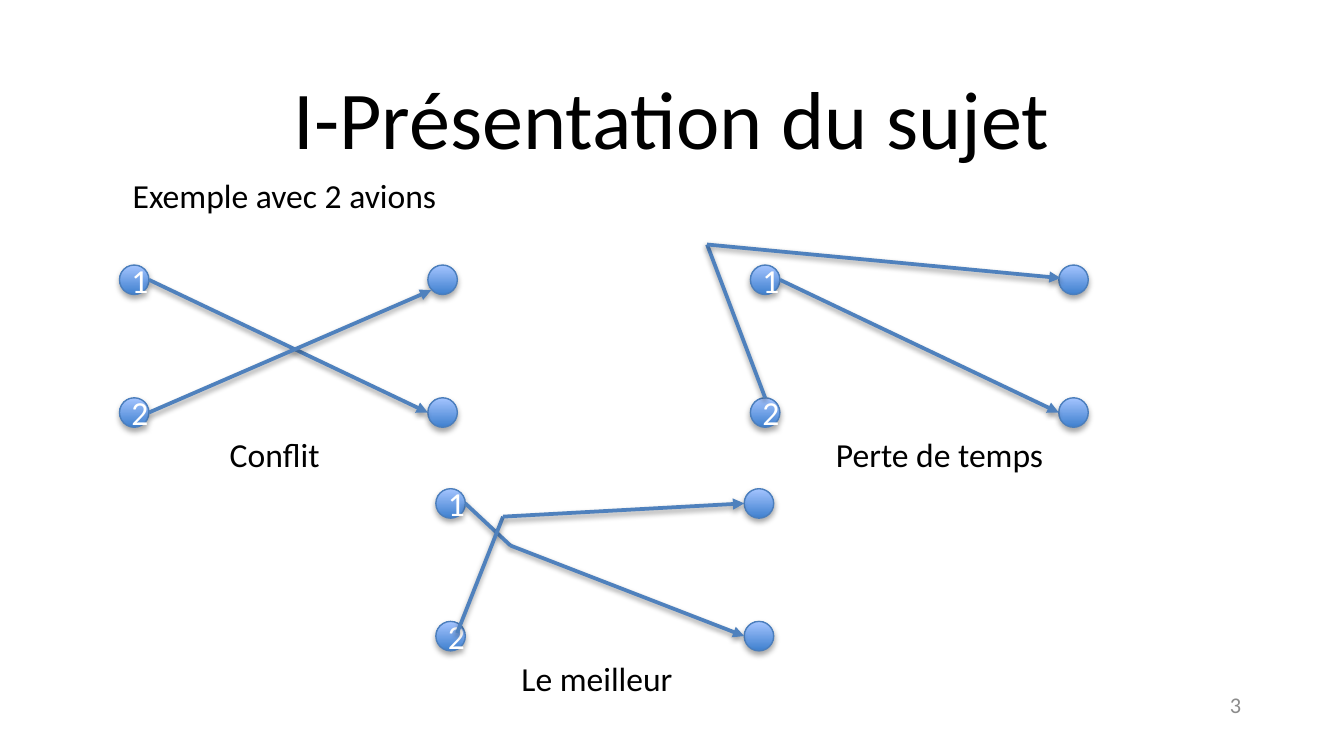
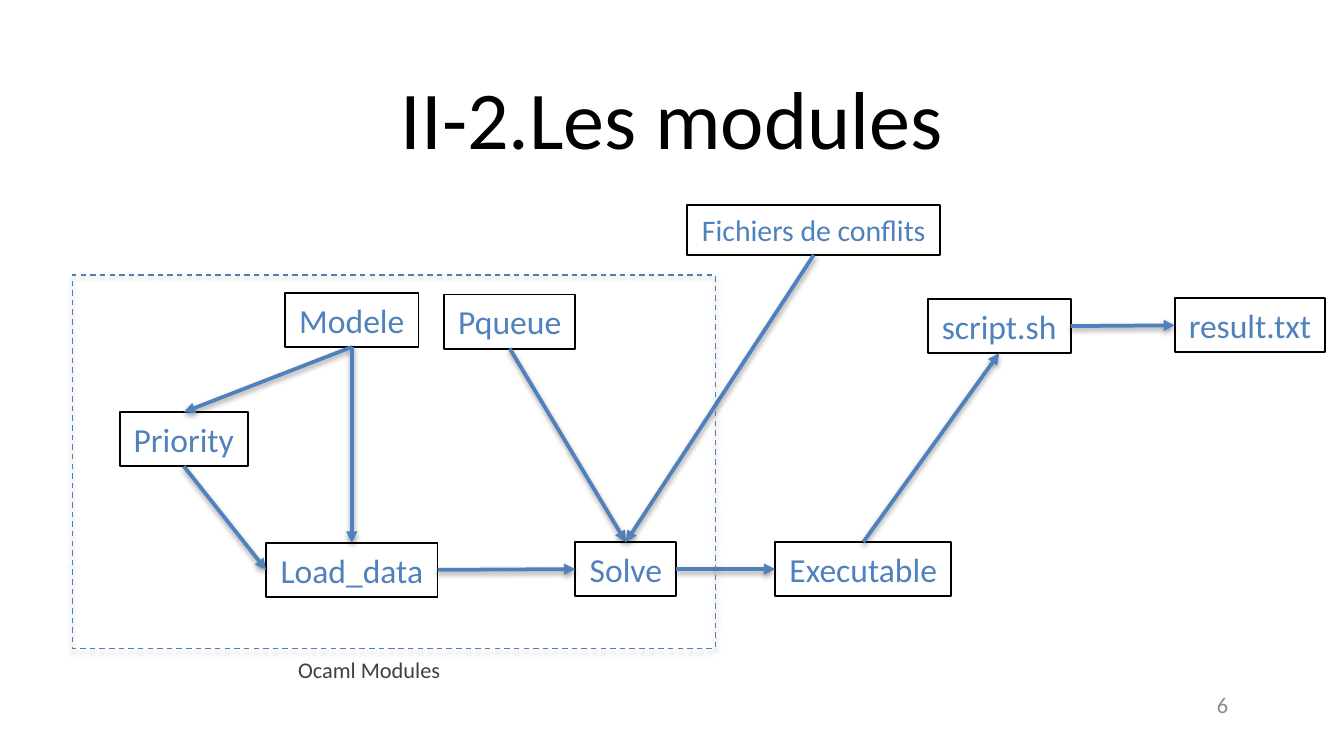
"""Build two slides on aircraft conflicts and program modules."""
from dataclasses import dataclass

from lxml import etree
from pptx import Presentation
from pptx.dml.color import RGBColor
from pptx.enum.dml import MSO_LINE
from pptx.enum.shapes import MSO_CONNECTOR, MSO_SHAPE
from pptx.enum.text import MSO_ANCHOR, MSO_AUTO_SIZE, PP_ALIGN
from pptx.oxml.ns import qn
from pptx.shapes.autoshape import Shape
from pptx.shapes.connector import Connector
from pptx.slide import Slide
from pptx.util import Pt

STRAIGHT = MSO_CONNECTOR.STRAIGHT
OVAL, RECTANGLE = MSO_SHAPE.OVAL, MSO_SHAPE.RECTANGLE
LEFT, CENTER, RIGHT = PP_ALIGN.LEFT, PP_ALIGN.CENTER, PP_ALIGN.RIGHT
TOP, MIDDLE = MSO_ANCHOR.TOP, MSO_ANCHOR.MIDDLE
FIT_SHAPE = MSO_AUTO_SIZE.SHAPE_TO_FIT_TEXT
DASH = MSO_LINE.DASH
SIDE_TOP, SIDE_LEFT, SIDE_BOTTOM, SIDE_RIGHT = range(4)

Point = tuple[float, float]
Area = tuple[float, float, float, float]


@dataclass(frozen=True)
class Theme:
    """Colours, font, type sizes and line widths."""

    font: str = "Calibri"
    black: str = "000000"
    white: str = "FFFFFF"
    accent: str = "4F81BD"
    edge: str = "4B7EBC"
    plane_dark: str = "3F80CE"
    plane_light: str = "A4C4FF"
    note: str = "404040"
    muted: str = "8C8C8C"
    title_size: float = 44
    body_size: float = 18
    file_size: float = 16
    small_size: float = 12
    arrow_width: float = 2
    box_width: float = 1
    edge_width: float = 0.75


THEME = Theme()


@dataclass(frozen=True)
class TextStyle:
    """Look and placement of one text."""

    size: float = THEME.body_size
    color: str = THEME.black
    align: PP_ALIGN = LEFT
    anchor: MSO_ANCHOR = TOP
    wrap: bool = True


TITLE = TextStyle(THEME.title_size, align=CENTER, anchor=MIDDLE)
NUMBER = TextStyle(THEME.small_size, THEME.muted, RIGHT, MIDDLE)
CAPTION = TextStyle(wrap=False)
NOTE = TextStyle(THEME.small_size, THEME.note)
PLANE = TextStyle(color=THEME.white, align=CENTER, anchor=MIDDLE)
MODULE = TextStyle(color=THEME.accent, align=CENTER, wrap=False)
FILES = TextStyle(THEME.file_size, THEME.accent, CENTER, wrap=False)


@dataclass(frozen=True)
class Scenario:
    """Two aircraft with routes measured from the scenario's corner."""

    corner: Point
    caption: str
    caption_left: float
    caption_width: float
    routes: tuple[tuple[Point, ...], ...]


@dataclass(frozen=True)
class Module:
    """A labelled box of the module diagram."""

    name: str
    left: float
    top: float
    width: float
    height: float = 29
    style: TextStyle = MODULE


@dataclass(frozen=True)
class Link:
    """An arrow between the sides of two modules."""

    start: str
    start_side: int
    end: str
    end_side: int


PLANE_SIZE = 15.8
RADIUS = PLANE_SIZE / 2
COLUMN_STEP, ROW_STEP = 165.2, 71.1
LOW = RADIUS + ROW_STEP
DESCENT = ((PLANE_SIZE, RADIUS), (COLUMN_STEP, LOW))

SCENARIOS = (
    Scenario((64, 142), "Conflit", 52, 63.4,
             (DESCENT, ((PLANE_SIZE, LOW), (167, 13.5)))),
    Scenario((402, 142), "Perte de temps", 38.8, 126.7,
             (DESCENT, ((RADIUS, ROW_STEP), (-23.2, -11), (166.2, 7)))),
    Scenario((233.5, 261.8), "Le meilleur", 38.8, 100.8,
             (((PLANE_SIZE, RADIUS), (40, 30.5), (COLUMN_STEP, LOW)),
              ((11.4, 77.3), (36, 15), (COLUMN_STEP, RADIUS)))),
)

MODULES = (
    Module("Modele", 152.8, 156.9, 71.4),
    Module("Priority", 64.2, 220.8, 68.6),
    Module("Solve", 308.2, 290.4, 54.2),
    Module("Pqueue", 238, 157.8, 70.2),
    Module("Load_data", 142.6, 290.8, 91.8),
    Module("script.sh", 497, 160.2, 76.6),
    Module("result.txt", 629.4, 159.8, 80.6),
    Module("Fichiers de conflits", 368.1, 110, 135.7, 26.6, FILES),
    Module("Executable", 415.3, 290.4, 94.4),
)

LINKS = (
    Link("Modele", SIDE_BOTTOM, "Priority", SIDE_TOP),
    Link("Priority", SIDE_BOTTOM, "Load_data", SIDE_LEFT),
    Link("Modele", SIDE_BOTTOM, "Load_data", SIDE_TOP),
    Link("Pqueue", SIDE_BOTTOM, "Solve", SIDE_TOP),
    Link("Load_data", SIDE_RIGHT, "Solve", SIDE_LEFT),
    Link("Executable", SIDE_TOP, "script.sh", SIDE_BOTTOM),
    Link("script.sh", SIDE_RIGHT, "result.txt", SIDE_LEFT),
    Link("Fichiers de conflits", SIDE_BOTTOM, "Solve", SIDE_TOP),
    Link("Solve", SIDE_RIGHT, "Executable", SIDE_LEFT),
)


def rgb(color: str) -> RGBColor:
    """Turn a hex colour into an RGBColor."""
    return RGBColor.from_string(color)


def write(box: Shape, text: str, style: TextStyle) -> None:
    """Put one styled run into a shape."""
    frame = box.text_frame
    frame.word_wrap = style.wrap
    frame.vertical_anchor = style.anchor
    if not style.wrap:
        frame.auto_size = FIT_SHAPE
    para = frame.paragraphs[0]
    para.alignment = style.align
    span = para.add_run()
    span.text = text
    span.font.name = THEME.font
    span.font.size = Pt(style.size)
    span.font.color.rgb = rgb(style.color)


def add_text(page: Slide, area: Area, text: str, style: TextStyle) -> None:
    """Add a text box."""
    box = page.shapes.add_textbox(*map(Pt, area))
    write(box, text, style)


def add_box(page: Slide, kind: MSO_SHAPE, area: Area,
            color: str, width: float) -> Shape:
    """Add an unfilled, outlined shape without a shadow."""
    box = page.shapes.add_shape(kind, *map(Pt, area))
    box.shadow.inherit = False
    box.fill.background()
    box.line.color.rgb = rgb(color)
    box.line.width = Pt(width)
    return box


def cast_shadow(item: Shape | Connector, distance: float, opacity: int) -> None:
    """Give an item a soft shadow falling straight down."""
    properties = item.element.spPr
    effects = properties.find(qn("a:effectLst"))
    if effects is None:
        effects = etree.SubElement(properties, qn("a:effectLst"))
    shadow = etree.SubElement(
        effects, qn("a:outerShdw"), blurRad=str(Pt(3.1)),
        dist=str(Pt(distance)), dir="5400000", rotWithShape="0")
    color = etree.SubElement(shadow, qn("a:srgbClr"), val=THEME.black)
    etree.SubElement(color, qn("a:alpha"), val=str(opacity * 1000))


def add_line(page: Slide, start: Point, end: Point,
             arrow: bool = True) -> Connector:
    """Add a shadowed straight line, with an arrowhead if asked."""
    line = page.shapes.add_connector(STRAIGHT, *map(Pt, (*start, *end)))
    line.line.color.rgb = rgb(THEME.accent)
    line.line.width = Pt(THEME.arrow_width)
    if arrow:
        etree.SubElement(line.line._get_or_add_ln(), qn("a:tailEnd"),
                         type="triangle")
    cast_shadow(line, 1.6, 38)
    return line


def add_plane(page: Slide, left: float, top: float, label: str) -> None:
    """Add a shaded disc with an optional number."""
    disc = add_box(page, OVAL, (left, top, PLANE_SIZE, PLANE_SIZE),
                   THEME.edge, THEME.edge_width)
    disc.fill.gradient()
    disc.fill.gradient_angle = 90
    stops = disc.fill.gradient_stops
    for stop, position, color in zip(
            stops, (0, 1), (THEME.plane_dark, THEME.plane_light)):
        stop.position = position
        stop.color.rgb = rgb(color)
    cast_shadow(disc, 1.8, 35)
    if label:
        write(disc, label, PLANE)


def add_scenario(page: Slide, scenario: Scenario) -> None:
    """Draw the aircraft, their routes and the caption."""
    left, top = scenario.corner
    for column, labels in enumerate((("1", "2"), ("", ""))):
        for row, label in enumerate(labels):
            add_plane(page, left + column * COLUMN_STEP,
                      top + row * ROW_STEP, label)
    for route in scenario.routes:
        points = [(left + x, top + y) for x, y in route]
        for start, end in zip(points, points[1:]):
            add_line(page, start, end, arrow=end == points[-1])
    add_text(page, (left + scenario.caption_left, top + 86.9,
                    scenario.caption_width, 29), scenario.caption, CAPTION)


def add_page(deck: Presentation, title: str, number: str,
             number_left: float) -> Slide:
    """Add a blank page with its title and number."""
    page = deck.slides.add_slide(deck.slide_layouts[6])
    add_text(page, (131.8, 27.4, 456.5, 69.8), title, TITLE)
    add_text(page, (number_left, 366.5, 168, 21.6), number, NUMBER)
    return page


def build_subject(deck: Presentation) -> None:
    """Build the page comparing three scenarios."""
    page = add_page(deck, "I-Présentation du sujet", "3", 504)
    for scenario in SCENARIOS:
        add_scenario(page, scenario)
    add_text(page, (64, 90, 179.3, 29), "Exemple avec 2 avions", CAPTION)


def build_modules(deck: Presentation) -> None:
    """Build the module diagram page."""
    page = add_page(deck, "II-2.Les modules", "6", 497)
    boxes = {}
    for module in MODULES:
        area = (module.left, module.top, module.width, module.height)
        box = add_box(page, RECTANGLE, area, THEME.black, THEME.box_width)
        write(box, module.name, module.style)
        boxes[module.name] = box
    for link in LINKS:
        line = add_line(page, (0, 0), (0, 0))
        line.begin_connect(boxes[link.start], link.start_side)
        line.end_connect(boxes[link.end], link.end_side)
    group = add_box(page, RECTANGLE, (38.8, 147.4, 344.4, 200),
                    THEME.edge, THEME.edge_width)
    group.line.dash_style = DASH
    cast_shadow(group, 1.8, 35)
    add_text(page, (152.6, 348, 96.5, 27.4), "Ocaml Modules", NOTE)


def main() -> None:
    """Build and save the deck."""
    deck = Presentation()
    deck.slide_width, deck.slide_height = Pt(720), Pt(405)
    build_subject(deck)
    build_modules(deck)
    deck.save("out.pptx")


if __name__ == "__main__":
    main()
